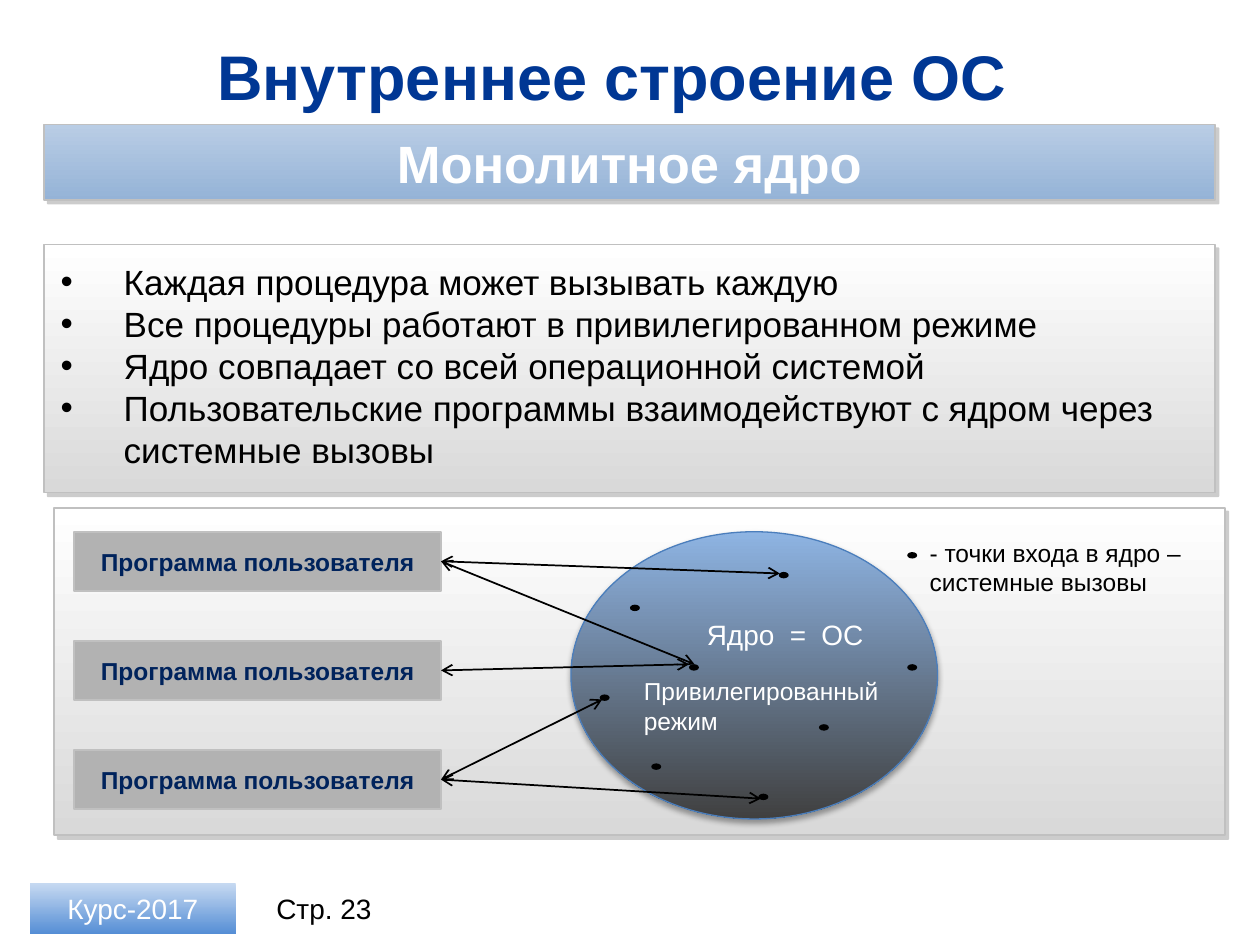
"""Build the slide on the monolithic kernel of an operating system."""
from dataclasses import dataclass
from typing import Optional

from lxml.etree import SubElement
from pptx import Presentation
from pptx.dml.color import RGBColor
from pptx.enum.shapes import MSO_CONNECTOR, MSO_SHAPE
from pptx.enum.text import MSO_ANCHOR, MSO_AUTO_SIZE, PP_ALIGN
from pptx.oxml.ns import qn
from pptx.util import Cm, Pt

HUES = {
    "title": "003794", "white": "FFFFFF", "black": "000000", "navy": "00235C",
    "edge": "C0C0C0", "pale": "D9D9D9", "grey": "B2B2B2", "shade": "808080",
    "sky": "B9CDE5", "steel": "95B3D7", "azure": "8EB4E3", "coal": "404040",
    "rim": "4B7EBC", "mist": "C6D9F1", "blue": "558ED5",
}


@dataclass
class Box:
    left: float
    top: float
    width: float
    height: float

    def place(self) -> tuple:
        return Cm(self.left), Cm(self.top), Cm(self.width), Cm(self.height)


@dataclass
class Font:
    size: float
    hue: str
    bold: bool = False


@dataclass
class Shade:
    hue: str
    alpha: int
    blur: float
    dist: float
    angle: int


@dataclass
class Look:
    fill: tuple
    edge: Optional[str] = None
    weight: float = 1
    shade: Optional[Shade] = None


@dataclass
class Label:
    box: Box
    text: str
    font: Font


@dataclass
class Call:
    row: int
    left: float
    top: float


DROP = Shade("shade", 40, 0, 3, 45)
PANEL = Look(("white", "pale"), "edge", 1, DROP)
BANNER = Look(("sky", "steel"), "edge", 1, DROP)
USER = Look(("grey",), "edge")
CORE = Look(("azure", "coal"), "rim", 0.75, Shade("black", 35, 3.1, 1.8, 90))
BADGE = Look(("mist", "blue"))
DOT = Look(("black",))

ITEMS = [
    "Каждая процедура может вызывать каждую",
    "Все процедуры работают в привилегированном режиме",
    "Ядро совпадает со всей операционной системой",
    "Пользовательские программы взаимодействуют с ядром через системные вызовы",
]
LABELS = [
    Label(Box(16.31, 12.32, 1.6, 0.94), "ОС", Font(16, "white")),
    Label(Box(12.73, 13.51, 5.77, 1.45), "Привилегированный режим", Font(14, "white")),
    Label(Box(14, 12.32, 2.72, 0.94), "Ядро  =", Font(16, "white")),
    Label(Box(18.49, 10.72, 5.59, 1.45), "- точки входа в ядро –\nсистемные вызовы",
          Font(14, "black")),
]
DOTS = [(12.7, 12.19), (15.7, 11.53), (13.13, 15.39), (13.89, 13.39), (12.09, 14),
        (15.29, 16), (18.29, 13.39), (16.51, 14.6), (18.29, 11.13)]
CALLS = [Call(0, 15.72, 11.56), Call(0, 14, 13.39), Call(1, 13.89, 13.39),
         Call(2, 12.14, 14.1), Call(2, 15.34, 16.1)]


def color(hue: str) -> RGBColor:
    return RGBColor.from_string(HUES[hue])


def cast(shape, shade: Shade) -> None:
    glow = SubElement(
        shape._element.spPr.find(qn("a:effectLst")), qn("a:outerShdw"),
        blurRad=str(Pt(shade.blur)), dist=str(Pt(shade.dist)),
        dir=str(shade.angle * 60000), algn="tl", rotWithShape="0")
    tone = SubElement(glow, qn("a:srgbClr"), val=HUES[shade.hue])
    SubElement(tone, qn("a:alpha"), val=str(shade.alpha * 1000))


def draw(slide, kind, box: Box, look: Look):
    shape = slide.shapes.add_shape(kind, *box.place())
    shape.shadow.inherit = False
    if len(look.fill) > 1:
        shape.fill.gradient()
        shape.fill.gradient_angle = 270
        for stop, hue in zip(shape.fill.gradient_stops, look.fill):
            stop.color.rgb = color(hue)
    else:
        shape.fill.solid()
        shape.fill.fore_color.rgb = color(look.fill[0])
    if look.edge:
        shape.line.color.rgb = color(look.edge)
        shape.line.width = Pt(look.weight)
    else:
        shape.line.fill.background()
    if look.shade:
        cast(shape, look.shade)
    return shape


def add_run(para, text: str, font: Font) -> None:
    run = para.add_run()
    run.text = text
    run.font.name = "Arial"
    run.font.size = Pt(font.size)
    run.font.bold = font.bold
    run.font.color.rgb = color(font.hue)


def write(shape, text: str, font: Font, mid: bool = True) -> None:
    frame = shape.text_frame
    frame.word_wrap = True
    frame.auto_size = MSO_AUTO_SIZE.NONE
    frame.vertical_anchor = MSO_ANCHOR.MIDDLE if mid else MSO_ANCHOR.TOP
    para = frame.paragraphs[0]
    para.alignment = PP_ALIGN.CENTER if mid else PP_ALIGN.LEFT
    for count, line in enumerate(text.split("\n")):
        if count:
            para.add_line_break()
        add_run(para, line, font)


def move(shape, box: Box) -> None:
    shape.left, shape.top, shape.width, shape.height = box.place()


def list_items(body) -> None:
    frame = body.text_frame
    frame.auto_size = MSO_AUTO_SIZE.NONE
    for count, item in enumerate(ITEMS):
        para = frame.add_paragraph() if count else frame.paragraphs[0]
        para.space_before = Pt(0)
        props = para._p.get_or_add_pPr()
        props.set("marL", str(Cm(1.27)))
        props.set("indent", str(-Cm(1.27)))
        add_run(para, item, Font(20, "black"))


def link(slide, user, call: Call) -> None:
    wire = slide.shapes.add_connector(
        MSO_CONNECTOR.STRAIGHT, user.left + user.width,
        user.top + user.height // 2, Cm(call.left), Cm(call.top))
    wire.begin_connect(user, 3)
    wire.line.color.rgb = color("black")
    wire.line.width = Pt(1)
    props = wire._element.spPr
    for end in ("a:headEnd", "a:tailEnd"):
        SubElement(props.find(qn("a:ln")), qn(end), type="arrow")
    SubElement(props, qn("a:effectLst"))


def main() -> None:
    deck = Presentation()
    deck.slide_width, deck.slide_height = Cm(25.4), Cm(19.05)
    slide = deck.slides.add_slide(deck.slide_layouts[1])
    title, body = slide.placeholders
    rect, oval = MSO_SHAPE.RECTANGLE, MSO_SHAPE.OVAL

    move(title, Box(0.89, 0.66, 23.6, 1.73))
    write(title, "Внутреннее строение ОС", Font(36, "title", True))
    title.text_frame.margin_right = Cm(0.96)

    draw(slide, rect, Box(0.89, 4.93, 23.6, 5), PANEL)
    banner = draw(slide, rect, Box(0.89, 2.51, 23.6, 1.52), BANNER)
    write(banner, "Монолитное ядро", Font(30, "white", True))
    move(body, Box(0.97, 5.13, 23.55, 4.52))
    list_items(body)
    slide.shapes._spTree.append(body._element)

    draw(slide, rect, Box(1.09, 10.24, 23.6, 6.6), PANEL)
    users = [draw(slide, rect, Box(1.5, 10.72 + 2.2 * row, 7.39, 1.19), USER)
             for row in range(3)]
    for user in users:
        write(user, "Программа пользователя", Font(14, "navy", True))
        frame = user.text_frame
        frame.margin_left = frame.margin_right = 0
        frame.margin_top = frame.margin_bottom = 0
    draw(slide, oval, Box(11.51, 10.72, 7.39, 5.79), CORE)
    for left, top in DOTS:
        draw(slide, oval, Box(left, top, 0.2, 0.13), DOT)
    for label in LABELS:
        write(slide.shapes.add_textbox(*label.box.place()), label.text, label.font, False)
    for call in CALLS:
        link(slide, users[call.row], call)

    badge = draw(slide, rect, Box(0.61, 17.81, 4.14, 1.02), BADGE)
    write(badge, "Курс-2017", Font(16, "white"))
    page = slide.shapes.add_textbox(*Box(5.16, 17.81, 2.74, 1.02).place())
    write(page, "Стр. 23", Font(16, "black"))
    deck.save("out.pptx")


if __name__ == "__main__":
    main()
